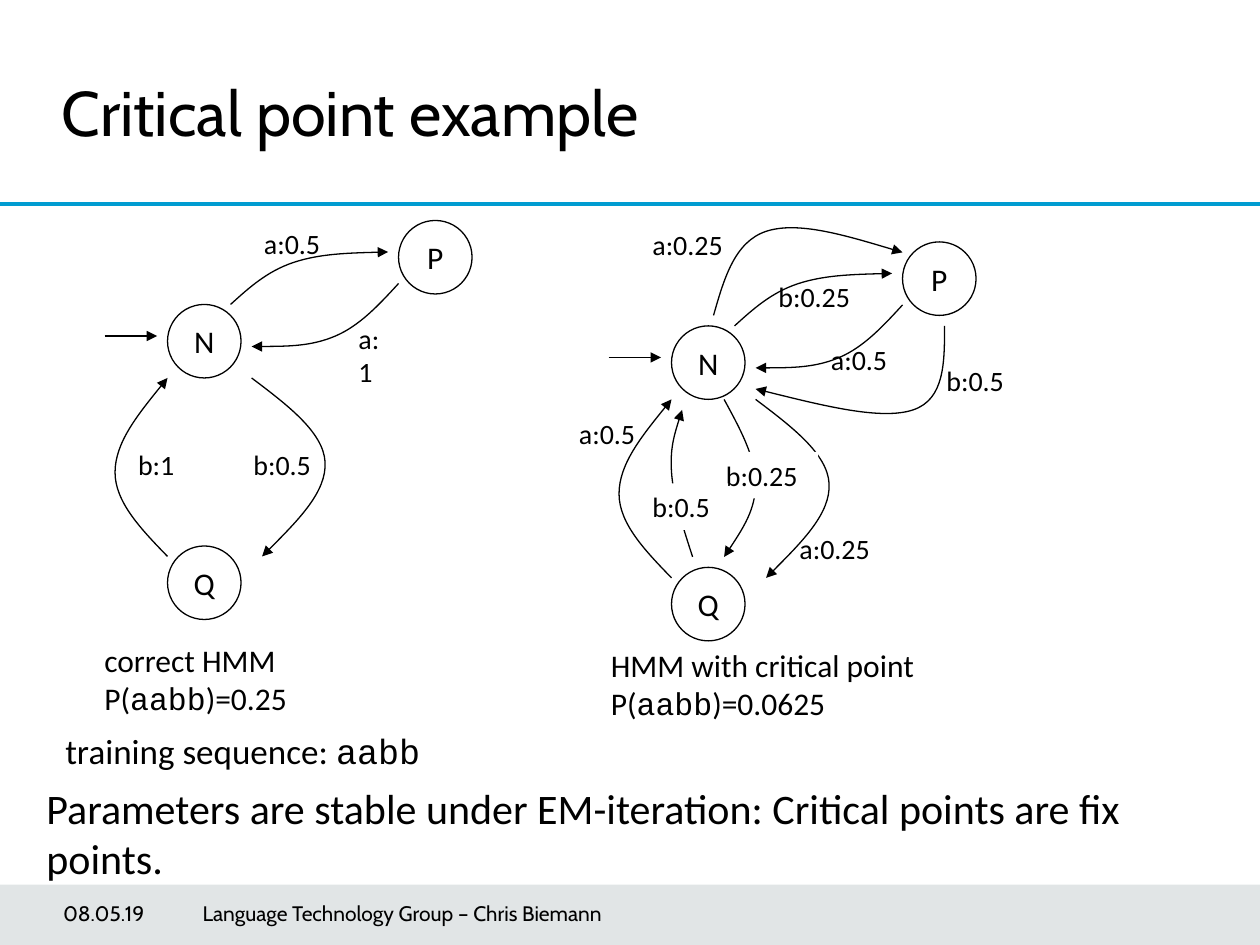
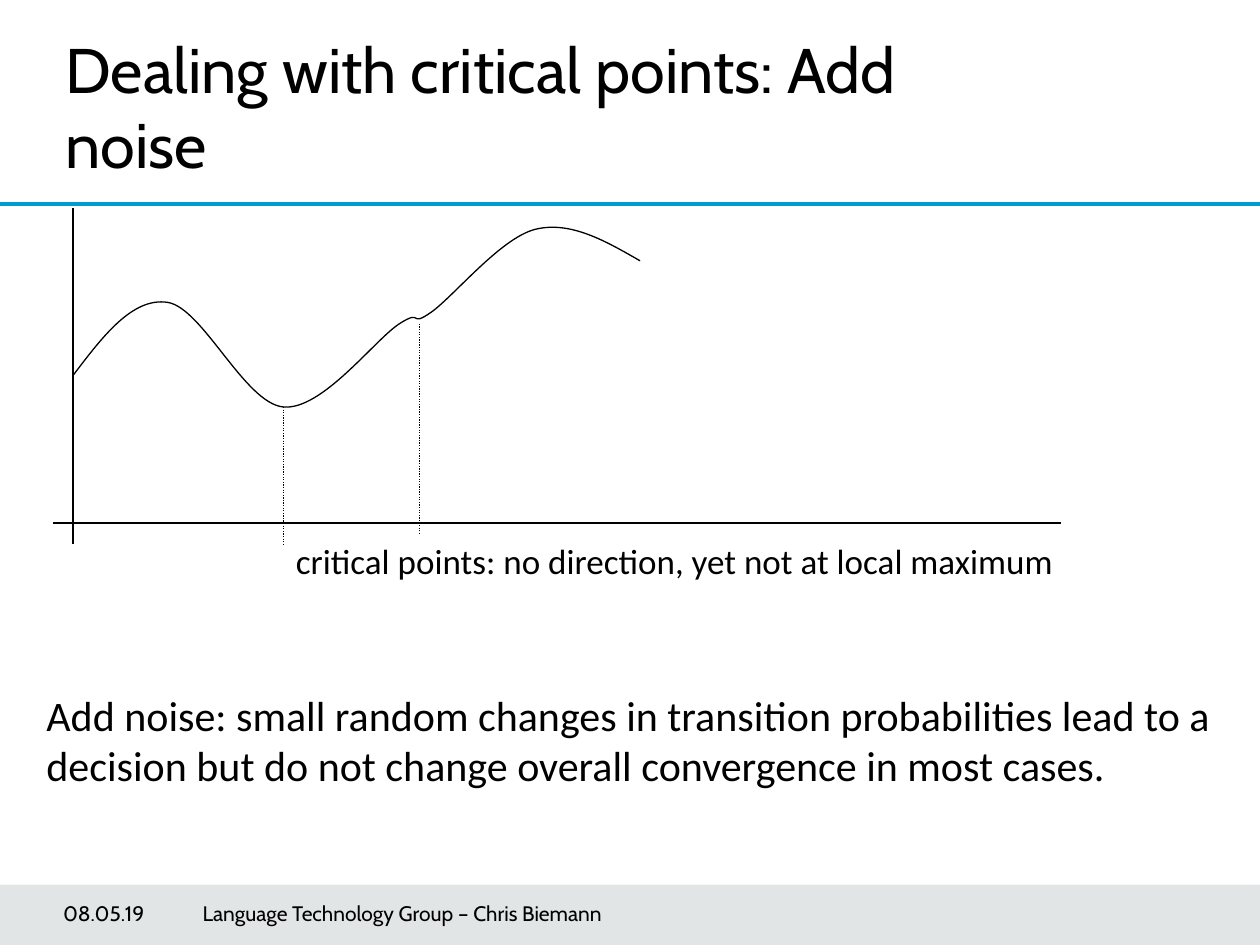
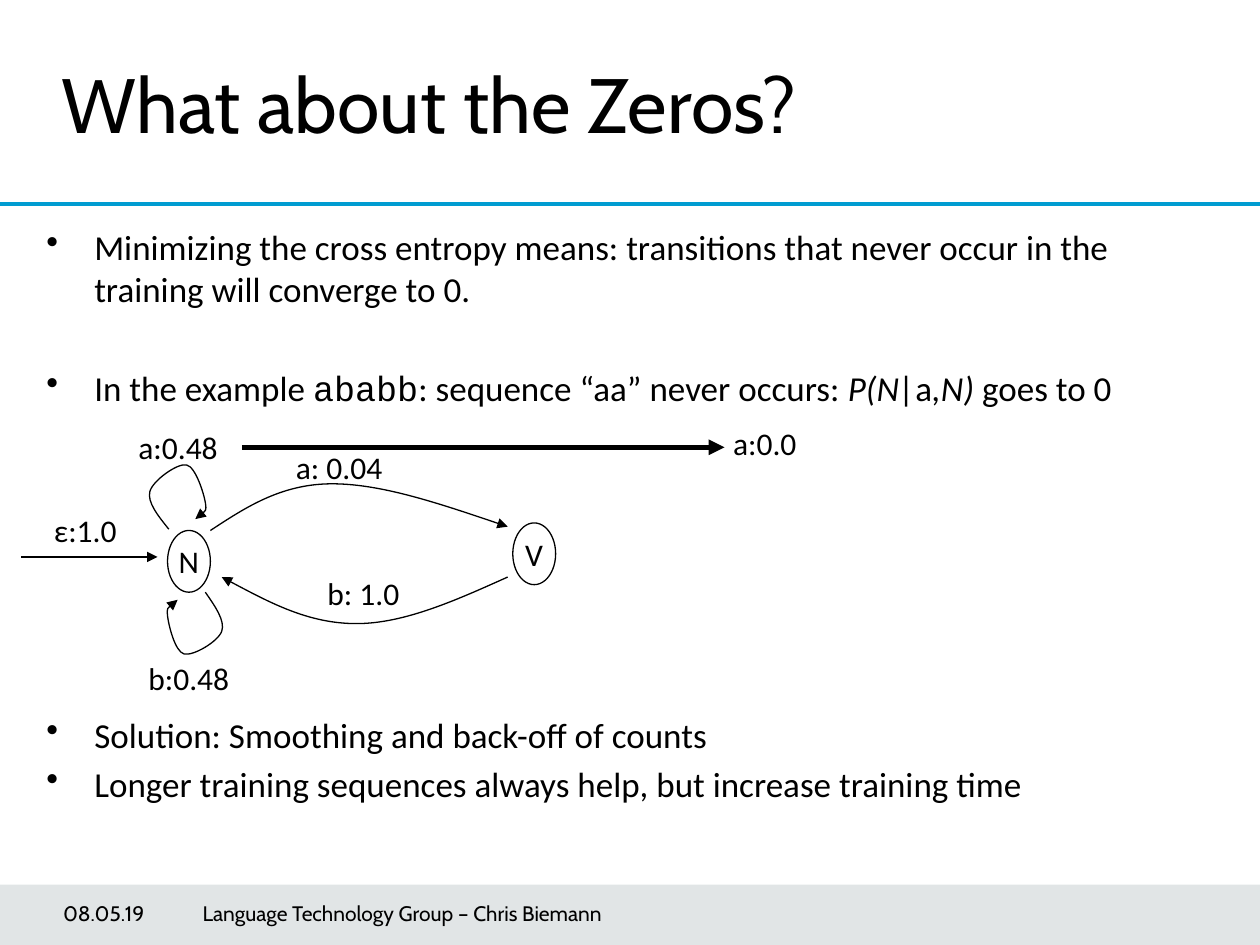
from lxml import etree
from pptx import Presentation
from pptx.dml.color import RGBColor
from pptx.enum.dml import MSO_LINE
from pptx.enum.shapes import MSO_CONNECTOR, MSO_SHAPE
from pptx.enum.text import MSO_ANCHOR, MSO_AUTO_SIZE, PP_ALIGN
from pptx.oxml.ns import qn
from pptx.util import Inches, Pt

STRAIGHT = MSO_CONNECTOR.STRAIGHT
OVAL, RECT = MSO_SHAPE.OVAL, MSO_SHAPE.RECTANGLE
DOTTED = MSO_LINE.ROUND_DOT
TOP, MIDDLE = MSO_ANCHOR.TOP, MSO_ANCHOR.MIDDLE
LEFT, CENTER = PP_ALIGN.LEFT, PP_ALIGN.CENTER
FIT, NO_FIT = MSO_AUTO_SIZE.SHAPE_TO_FIT_TEXT, MSO_AUTO_SIZE.NONE

WIDTH, HEIGHT = 10, 7.5
BLACK, WHITE, BLUE, SLATE = "000000", "FFFFFF", "009CD1", "3B515B"
HEAD_FONT, BODY_FONT, CODE_FONT = "Cabin", "Calibri", "Courier New"
CODE, ITALIC = {"name": CODE_FONT}, {"italic": True}
BODY_LEFT, BODY_WIDTH = 0.27, 9.45
UNIT = 1 / 12

STATES = [("N", 6, 8), ("P", 28, 0), ("Q", 6, 31)]
TRANSITIONS = [
    [(12, 8), (18, 4), (27, 3)],
    [(28, 6), (22, 11), (14, 12)],
    [(14, 15), (21, 23), (15, 32)],
    [(6, 32), (1, 24), (6, 15)],
]
CRITICAL_TRANSITIONS = [
    [(10, 7), (15, -1), (28, 1)],
    [(32, 8), (29, 16), (14, 14)],
    [(11, 15), (14, 23), (11, 30)],
    [(8, 30), (6, 22), (7, 16)],
]
CORRECT_LABELS = [("a:0.5", 14, 0, 0.7, None), ("a:1", 23, 9, 0.47, None),
                  ("b:0.5", 13, 21, 0.7, None), ("b:1", 2, 21, 0.49, None)]
CRITICAL_LABELS = [
    ("a:0.25", 3, -2, 0.83, None), ("b:0.25", 15, 3, 0.83, None),
    ("a:0.5", 20, 9, 0.7, None), ("b:0.5", 31, 11, 0.7, None),
    ("a:0.25", 17, 27, 0.83, None), ("b:0.25", 10, 20, 0.83, WHITE),
    ("b:0.5", 3, 23, 0.7, WHITE), ("a:0.5", -4, 16, 0.7, None),
]


def rgb(value):
    return RGBColor.from_string(value)


def box(x, y, w, h):
    return [Inches(v) for v in (x, y, w, h)]


def shift(x, y, points, scale=1):
    return [(x + px * scale, y + py * scale) for px, py in points]


def style_font(p, size, name=BODY_FONT):
    p.font.size, p.font.name = Pt(size), name
    p.font.color.rgb = rgb(BLACK)


def write(p, parts, size, name=BODY_FONT):
    style_font(p, size, name)
    for part in parts:
        text, changes = (part, {}) if isinstance(part, str) else part
        r = p.add_run()
        r.text = text
        for key, value in changes.items():
            setattr(r.font, key, value)


def add_text(s, x, y, w, h, lines, size, name=BODY_FONT, fit=False, fill=None):
    sp = s.shapes.add_textbox(*box(x, y, w, h))
    if fill:
        sp.fill.solid()
        sp.fill.fore_color.rgb = rgb(fill)
    tf = sp.text_frame
    tf.word_wrap = not fit
    tf.auto_size = FIT if fit else NO_FIT
    for i, parts in enumerate(lines):
        write(tf.add_paragraph() if i else tf.paragraphs[0], parts, size, name)
    return tf


def set_line(sp, color=BLACK, width=0.75, arrow=False):
    sp.line.color.rgb = rgb(color)
    sp.line.width = Pt(width)
    if arrow:
        etree.SubElement(sp.line._get_or_add_ln(), qn("a:tailEnd"), type="triangle")


def add_line(s, start, end, color=BLACK, width=0.75, arrow=False, dash=None):
    sp = s.shapes.add_connector(STRAIGHT, *[Inches(v) for v in (*start, *end)])
    set_line(sp, color, width, arrow)
    if dash:
        sp.line.dash_style = dash
    etree.SubElement(sp._element.spPr, qn("a:effectLst"))
    return sp


def spline(points):
    middles = list(zip(points, points[1:], points[2:]))
    steps = [((c[0] - a[0]) / 6, (c[1] - a[1]) / 6) for a, b, c in middles]
    controls = []
    for i, (a, b) in enumerate(zip(points, points[1:])):
        first, last = i == 0, i == len(points) - 2
        out = None if first else (a[0] + steps[i - 1][0], a[1] + steps[i - 1][1])
        into = None if last else (b[0] - steps[i][0], b[1] - steps[i][1])
        out = out or ((a[0] + into[0]) / 2, (a[1] + into[1]) / 2)
        into = into or ((out[0] + b[0]) / 2, (out[1] + b[1]) / 2)
        controls += [out, into, b]
    return controls


def add_curve(s, points, arrow=True):
    emu = [(Inches(x), Inches(y)) for x, y in [points[0], *spline(points)]]
    builder = s.shapes.build_freeform(*emu[0])
    builder.add_line_segments(emu[1:], close=False)
    sp = builder.convert_to_shape()
    segments = list(sp._element.iter(qn("a:lnTo")))
    for i in range(0, len(segments), 3):
        bezier = etree.Element(qn("a:cubicBezTo"))
        segments[i].addprevious(bezier)
        for segment in segments[i:i + 3]:
            bezier.append(segment[0])
            segment.getparent().remove(segment)
    sp.fill.background()
    sp.shadow.inherit = False
    set_line(sp, arrow=arrow)


def add_state(s, x, y, w, h, name, fill=None):
    sp = s.shapes.add_shape(OVAL, *box(x, y, w, h))
    sp.shadow.inherit = False
    if fill:
        sp.fill.solid()
        sp.fill.fore_color.rgb = rgb(fill)
    else:
        sp.fill.background()
    set_line(sp)
    tf = sp.text_frame
    tf.word_wrap = False
    tf.vertical_anchor = MIDDLE
    p = tf.paragraphs[0]
    p.alignment = CENTER
    write(p, [name], 18)


def decorate_layout(prs, layout):
    s = prs.slides[0]
    band = s.shapes.add_shape(RECT, *box(0, 7.02, WIDTH, 0.48))
    band.shadow.inherit = False
    band.fill.solid()
    band.fill.fore_color.rgb = rgb(SLATE)
    color = band._element.spPr.find(qn("a:solidFill"))[0]
    etree.SubElement(color, qn("a:alpha"), val="15000")
    band.line.fill.background()
    rule = add_line(s, (0, 1.62), (WIDTH, 1.62), BLUE, 2)
    for sp in (band, rule):
        layout.shapes._spTree.append(sp._element)


def add_slide(prs, layout, title, x, y, size=36):
    s = prs.slides.add_slide(layout)
    sp = s.shapes.title
    sp.left, sp.top, sp.width, sp.height = box(x, y, 7.52, 0.92)
    tf = sp.text_frame
    tf.vertical_anchor = TOP
    tf.auto_size = NO_FIT
    p = tf.paragraphs[0]
    p.alignment = LEFT
    write(p, [title], size, HEAD_FONT)
    for left, width, text in [(0.5, 0.99, "08.05.19"),
                              (1.57, 4.95, " Language Technology Group – Chris Biemann")]:
        tf = add_text(s, left, 7.05, width, 0.4, [[text]], 12, HEAD_FONT)
        tf.vertical_anchor = MIDDLE
        tf.margin_left = 0
    return s


def add_statement(s, y, h, text):
    tf = add_text(s, BODY_LEFT, y, BODY_WIDTH, h, [[text]], 24)
    tf.paragraphs[0].space_before = Pt(4.8)


def add_hmm(s, x, y, transitions, labels):
    for name, col, row in STATES:
        add_state(s, x + col * UNIT, y + row * UNIT, 7 * UNIT, 7 * UNIT, name, WHITE)
    add_line(s, *shift(x, y, [(0, 11), (5, 11)], UNIT), arrow=True)
    for points in transitions:
        add_curve(s, shift(x, y, points, UNIT))
    for text, col, row, w, fill in labels:
        add_text(s, x + col * UNIT, y + row * UNIT, w, 0.37, [[text]], 16,
                 fit=True, fill=fill)


def add_caption(s, x, y, w, name, probability):
    lines = [[name], ["P(", ("aabb", CODE), ")=" + probability]]
    add_text(s, x, y, w, 0.71, lines, 18, fit=True)


def fill_example(s):
    add_statement(s, 6.16, 0.48, "Parameters are stable under EM-iteration: "
                  "Critical points are fix points.")
    tf = add_text(s, 0.42, 5.78, 8.5, 0.42,
                  [["training sequence: ", ("aabb", CODE)]], 20)
    p = tf.paragraphs[0]
    p.line_spacing, p.space_before = 0.9, Pt(4)
    add_hmm(s, 0.83, 1.75, TRANSITIONS, CORRECT_LABELS)
    add_hmm(s, 4.83, 1.92, TRANSITIONS + CRITICAL_TRANSITIONS, CRITICAL_LABELS)
    add_caption(s, 0.73, 5.04, 1.66, "correct HMM", "0.25")
    add_caption(s, 4.75, 5.08, 2.73, "HMM with critical point", "0.0625")


def add_landscape(s, x, y):
    def place(*points):
        return shift(x, y, points)

    add_line(s, *place((0.16, 0), (0.16, 2.67)))
    add_line(s, *place((0, 2.5), (8, 2.5)))
    add_curve(s, place((0.16, 1.33), (0.91, 0.75), (1.83, 1.58), (2.75, 0.92),
                       (3, 0.83), (3.83, 0.17), (4.66, 0.42)), arrow=False)
    for left, top, bottom in [(1.83, 1.58, 2.67), (2.91, 0.92, 2.58)]:
        add_line(s, *place((left, top), (left, bottom)), dash=DOTTED)
    add_text(s, x + 1.83, y + 2.58, 6.28, 0.44,
             [["critical points: no direction, yet not at local maximum"]], 20, fit=True)


def fill_noise(s):
    add_statement(s, 5.42, 1.48, "Add noise: small random changes in transition "
                  "probabilities lead to a decision but do not change overall "
                  "convergence in most cases.")
    add_landscape(s, 0.42, 1.65)


def add_bullets(s, x, y, w, h, items):
    tf = add_text(s, x, y, w, h, [parts for parts, gap in items], 20)
    for p, (parts, gap) in zip(tf.paragraphs, items):
        p.space_before = Pt(4 + gap * 28.4)
        props = p._p.get_or_add_pPr()
        props.set("marL", str(Inches(0.38)))
        props.set("indent", str(-Inches(0.38)))
        bullet = etree.Element(qn("a:buChar"), char="•")
        props.find(qn("a:defRPr")).addprevious(bullet)


def add_two_state_model(s, x, y):
    def place(*points):
        return shift(x, y, points)

    for name, left, top in [("N", 0.33, 0.71), ("V", 3.07, 0.65)]:
        add_state(s, x + left, y + top, 0.34, 0.49, name)
    for points in [
        [(0.63, 1.2), (0.76, 1.51), (0.46, 1.69), (0.33, 1.39), (0.41, 1.26)],
        [(0.34, 0.7), (0.19, 0.4), (0.48, 0.19), (0.63, 0.49), (0.55, 0.62)],
        [(0.67, 0.71), (1.62, 0.34), (3.03, 0.68)],
        [(3.03, 1.08), (1.83, 1.45), (0.76, 1.08)],
    ]:
        add_curve(s, place(*points))
    add_line(s, *place((0.92, 0.05), (4.75, 0.05)), width=3, arrow=True)
    add_line(s, *place((-0.83, 0.92), (0.25, 0.92)), arrow=True)
    for text, left, top, w in [
        ("a:0.48", 0, -0.15, 0.9), ("b:0.48", 0.08, 1.68, 0.9),
        ("a: 0.04", 1.25, 0.01, 0.97), ("b: 1.0", 1.5, 1.01, 0.83),
        ("a:0.0", 4.72, -0.18, 0.76), ("ε:1.0", -0.67, 0.51, 0.74),
    ]:
        add_text(s, x + left, y + top, w, 0.4, [[text]], 18, fit=True)


def fill_zeros(s):
    add_bullets(s, BODY_LEFT, 1.74, BODY_WIDTH, 5.24, [
        (["Minimizing the cross entropy means: transitions that never occur "
          "in the training will converge to 0."], 0),
        (["In the example ", ("ababb", CODE), ": sequence “aa” never occurs: ",
          ("P(N|", ITALIC), "a", (",N)", ITALIC), " goes to 0"], 1),
        (["Solution: Smoothing and back-off of counts"], 6),
        (["Longer training sequences always help, but increase training time"], 0),
    ])
    add_two_state_model(s, 1, 3.5)


def main():
    prs = Presentation()
    prs.slide_width, prs.slide_height = Inches(WIDTH), Inches(HEIGHT)
    layout = prs.slide_layouts[5]
    fill_example(add_slide(prs, layout, "Critical point example", 0.39, 0.53))
    fill_noise(add_slide(prs, layout, "Dealing with critical points: Add noise", 0.42, 0.19))
    fill_zeros(add_slide(prs, layout, "What about the Zeros?", 0.39, 0.4, 44))
    decorate_layout(prs, layout)
    prs.save("out.pptx")


if __name__ == "__main__":
    main()
